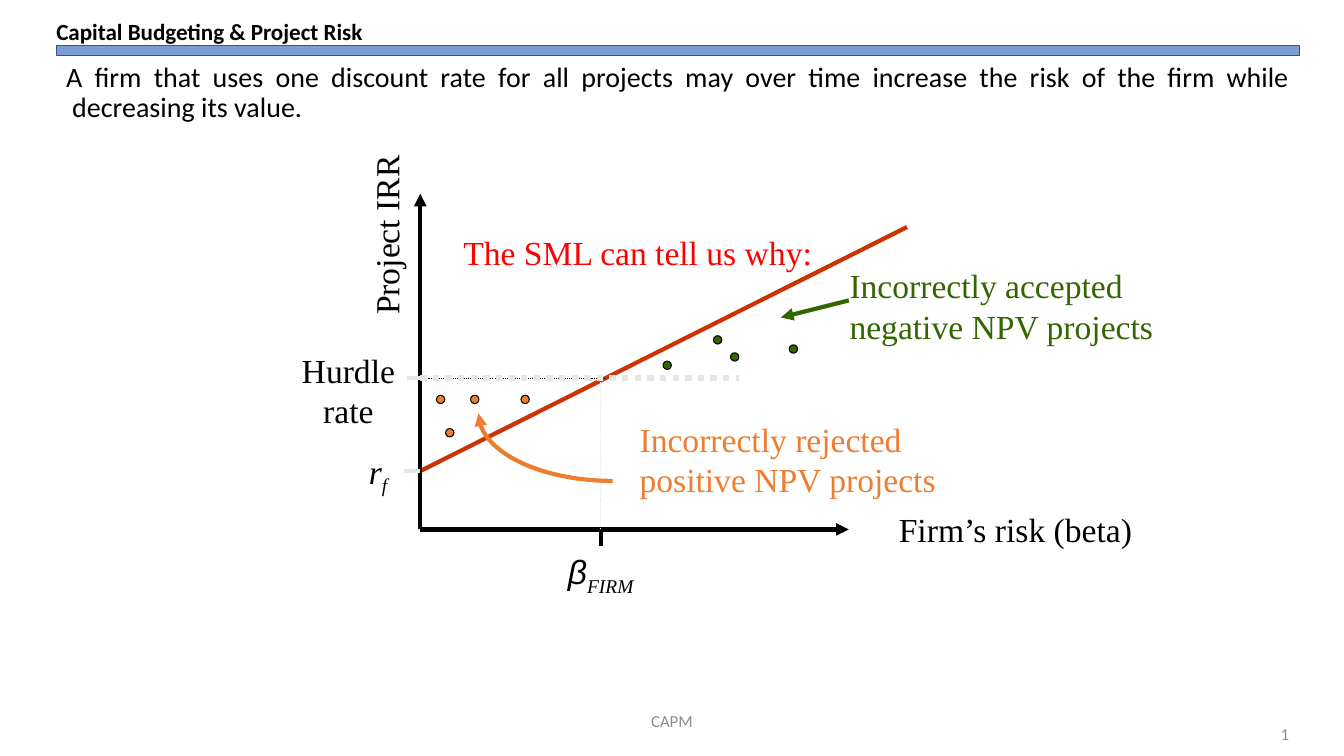
import pptx
import pptx.util
import pptx.dml.color
import pptx.enum.dml
import pptx.enum.shapes
import pptx.enum.text
import pptx.oxml
import pptx.oxml.ns
from pptx.util import Cm

COLOURS = {
    "bar": "7C9CD6", "bar_edge": "325491", "body": "010004", "black": "000000",
    "footer": "8C8C8C", "sml": "CC3300", "guide": "E7E6E6", "rejected": "ED7D31",
    "accepted": "336600", "question": "FF0000",
}
SERIF = "Times New Roman"
SANS = "Calibri"
ALIGN = pptx.enum.text.PP_ALIGN
ANCHOR = pptx.enum.text.MSO_ANCHOR
SHAPES = pptx.enum.shapes.MSO_SHAPE


def colour(name):
    """Return the named colour."""
    return pptx.dml.color.RGBColor.from_string(COLOURS[name])


def style_font(font, size, family, name):
    """Set size, family and colour of a font."""
    font.size = pptx.util.Pt(size)
    font.name = family
    font.color.rgb = colour(name)


def style_line(line, name, width, dotted=False, arrow=False):
    """Set colour, width, dots and arrowhead of an outline."""
    line.color.rgb = colour(name)
    line.width = pptx.util.Pt(width)
    if dotted:
        line.dash_style = pptx.enum.dml.MSO_LINE.ROUND_DOT
    if arrow:
        properties = line.fill._xPr
        head = pptx.oxml.parse_xml(f'<a:tailEnd {pptx.oxml.ns.nsdecls("a")} type="triangle"/>')
        properties.append(head)


def add_text(page, box, text, size=24, family=SERIF, name="black",
             align=ALIGN.LEFT, anchor=ANCHOR.TOP):
    """Add a wrapped text box and return it."""
    shape = page.shapes.add_textbox(*(Cm(length) for length in box))
    frame = shape.text_frame
    frame.word_wrap = True
    frame.vertical_anchor = anchor
    frame.text = text
    para = frame.paragraphs[0]
    para.alignment = align
    for span in para.runs:
        style_font(span.font, size, family, name)
    return shape


def add_symbol(page, box, letter, subscript, family):
    """Add an italic symbol with a subscript."""
    shape = add_text(page, box, letter, family=family, align=ALIGN.CENTER)
    para = shape.text_frame.paragraphs[0]
    index = para.add_run()
    index.text = subscript
    style_font(index.font, 24, SERIF, "black")
    index._r.get_or_add_rPr().set("baseline", "-25000")
    for span in para.runs:
        span.font.italic = True


def add_line(page, start, end, name, width, dotted=False, arrow=False):
    """Add a straight line, optionally dotted or arrowed."""
    points = [Cm(length) for length in (*start, *end)]
    line = page.shapes.add_connector(pptx.enum.shapes.MSO_CONNECTOR.STRAIGHT, *points)
    style_line(line.line, name, width, dotted, arrow)
    line._element.spPr.append(pptx.oxml.parse_xml(f'<a:effectLst {pptx.oxml.ns.nsdecls("a")}/>'))


def add_filled(page, preset, box, fill, edge, width):
    """Add a filled and outlined preset shape."""
    shape = page.shapes.add_shape(preset, *(Cm(length) for length in box))
    shape.shadow.inherit = False
    shape.fill.solid()
    shape.fill.fore_color.rgb = colour(fill)
    style_line(shape.line, edge, width)


def add_curve(page, controls, name):
    """Add a curved arrow along a cubic path."""
    points = []
    for step in range(25):
        t = step / 24
        weights = ((1 - t) ** 3, 3 * t * (1 - t) ** 2, 3 * t ** 2 * (1 - t), t ** 3)
        points.append(tuple(
            Cm(sum(weight * point[axis] for weight, point in zip(weights, controls)))
            for axis in (0, 1)))
    builder = page.shapes.build_freeform(*points[0])
    builder.add_line_segments(points[1:], close=False)
    curve = builder.convert_to_shape()
    curve.shadow.inherit = False
    curve.fill.background()
    style_line(curve.line, name, 3, arrow=True)


def draw_header(page, box):
    """Place the title, its bar and the statement."""
    left, top, width, height = box
    add_filled(page, SHAPES.RECTANGLE, (left, top + height, width, 0.25), "bar", "bar_edge", 0)
    title = page.shapes.title
    title.left, title.top, title.width, title.height = (Cm(length) for length in box)
    frame = title.text_frame
    frame.text = "Capital Budgeting & Project Risk"
    frame.auto_size = pptx.enum.text.MSO_AUTO_SIZE.NONE
    frame.margin_left = frame.margin_right = frame.margin_top = frame.margin_bottom = 0
    frame.vertical_anchor = ANCHOR.BOTTOM
    para = frame.paragraphs[0]
    para.alignment = ALIGN.LEFT
    para.line_spacing = 0.9
    style_font(para.runs[0].font, 16.5, SANS, "black")
    para.runs[0].font.bold = True

    statement = add_text(
        page, (left, top + height + 0.33, width, 2),
        "A firm that uses one discount rate for all projects may over time increase "
        "the risk of the firm while decreasing its value.",
        20, SANS, "body", ALIGN.JUSTIFY)
    para = statement.text_frame.paragraphs[0]
    para.line_spacing = 0.9
    properties = para._p.get_or_add_pPr()
    properties.set("marL", str(Cm(0.15)))
    properties.set("indent", str(Cm(-0.15)))


def draw_diagram(page, box):
    """Draw the security market line inside the box spanned by the axes."""
    left, top, width, height = box
    hurdle, risk_free, beta = 4.65, 6.99, 4.55

    def at(x, y):
        return left + x, top + y

    lines = [
        ((0, height), (width, height), "black", 3, False, True),
        ((0, risk_free), (12.27, 0.84), "sml", 3, False, False),
        ((0, height), (0, 0), "black", 3, False, True),
        ((0, risk_free), (-0.42, risk_free), "guide", 3, False, False),
        ((0.08, hurdle), (-0.34, hurdle), "guide", 3, False, False),
        ((beta, height), (beta, height + 0.43), "black", 3, False, False),
        ((beta, height), (beta, hurdle), "guide", 0.75, True, False),
        ((10.8, 2.69), (9.09, 3.12), "accepted", 3, False, True),
        ((0, hurdle), (4.65, hurdle), "black", 0.75, True, False),
        ((0, hurdle), (8.03, hurdle), "guide", 4.5, True, False),
    ]
    for start, end, *look in lines:
        add_line(page, at(*start), at(*end), *look)

    add_curve(page, [at(4.85, 7.24), at(3, 7.24), at(1.47, 6.48), at(1.47, 5.54)], "rejected")

    projects = {
        "rejected": [(0.41, 5.08), (1.27, 5.08), (2.54, 5.08), (0.64, 5.92)],
        "accepted": [(6.12, 4.22), (7.39, 3.58), (7.82, 4.01), (9.3, 3.81)],
    }
    for name, dots in projects.items():
        for dot in dots:
            add_filled(page, SHAPES.OVAL, (*at(*dot), 0.21, 0.21), name, "black", 0.75)

    labels = [
        ((7.19, 7.82), (11, 1.27), "Firm’s risk (beta)", "black", ALIGN.RIGHT),
        ((5.28, 5.54), (8.69, 2.31), "Incorrectly rejected positive NPV projects",
         "rejected", ALIGN.LEFT),
        ((10.57, 1.68), (8.46, 2.31), "Incorrectly accepted negative NPV projects",
         "accepted", ALIGN.LEFT),
        ((-3.4, 3.81), (3.18, 2.31), "Hurdle rate", "black", ALIGN.CENTER),
        ((0.84, 0.84), (10.16, 1.27), "The SML can tell us why:", "question", ALIGN.LEFT),
    ]
    for place, size, text, name, align in labels:
        add_text(page, (*at(*place), *size), text, name=name, align=align)
    vertical = add_text(page, (*at(-3.4, 0.69), 5.08, 1.27), "Project IRR", align=ALIGN.RIGHT)
    vertical.rotation = 270
    add_symbol(page, (*at(-1.91, 6.35), 1.7, 1.27), "r", "f", SERIF)
    add_symbol(page, (*at(3.38, 8.89), 2.34, 1.27), "β", "FIRM", "Arial")


def draw_footer(page, box):
    """Place the footer text and the page number."""
    left, top, width, height = box
    add_text(page, (left + 9.8, top, 11.43, height), "CAPM", 12, SANS, "footer",
             ALIGN.CENTER, ANCHOR.MIDDLE)
    add_text(page, (left + width - 1.7, top + 0.33, 1.7, height), "1", 12, SANS, "footer",
             ALIGN.RIGHT, ANCHOR.MIDDLE)


def main():
    """Build and save the deck."""
    deck = pptx.Presentation()
    deck.slide_width, deck.slide_height = Cm(33.87), Cm(19.05)
    page = deck.slides.add_slide(deck.slide_layouts[5])
    draw_header(page, (1.42, 0.13, 31.32, 1.01))
    draw_diagram(page, (10.59, 4.88, 10.8, 8.46))
    draw_footer(page, (1.42, 17.65, 31.32, 1.02))
    deck.save("out.pptx")


if __name__ == "__main__":
    main()
